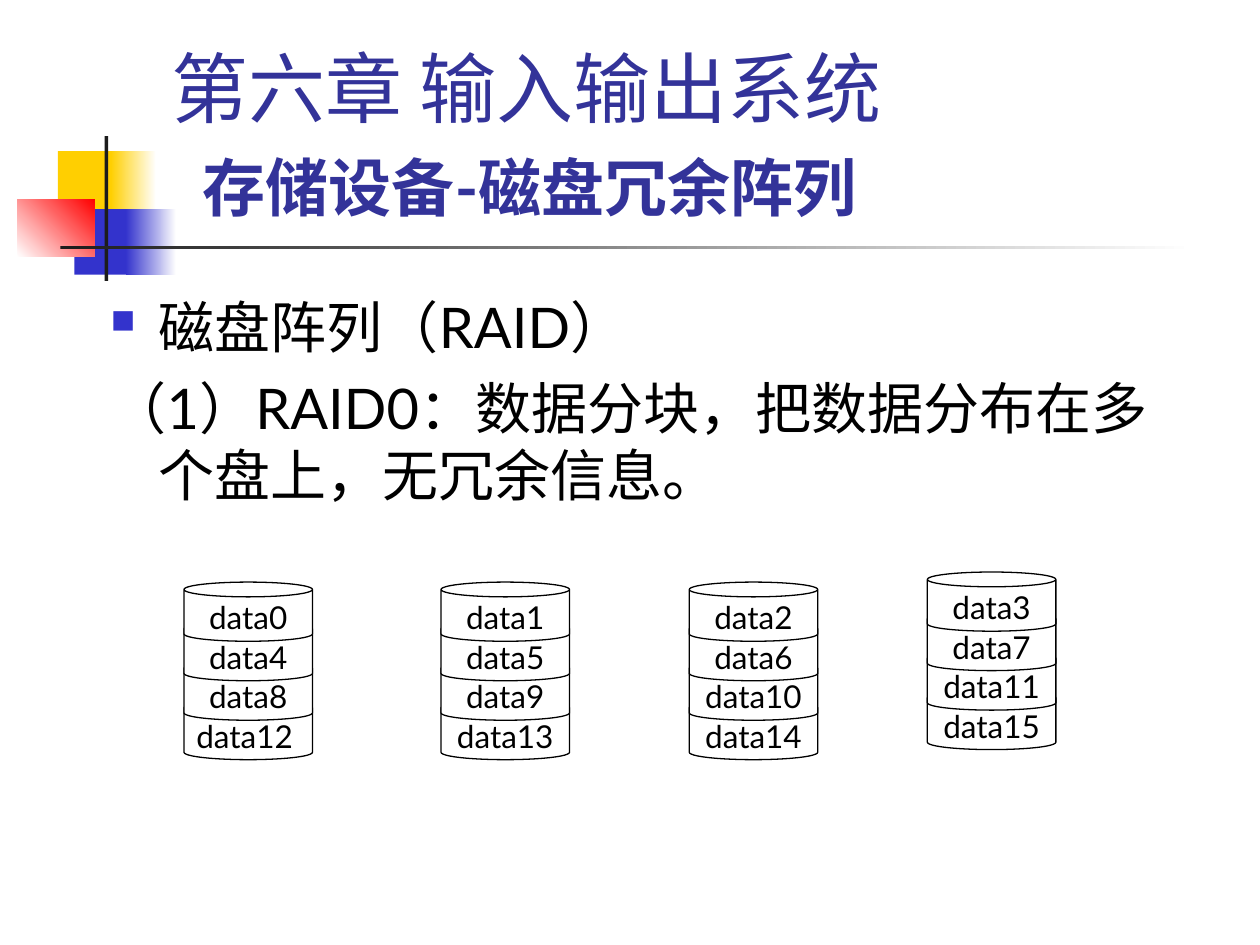
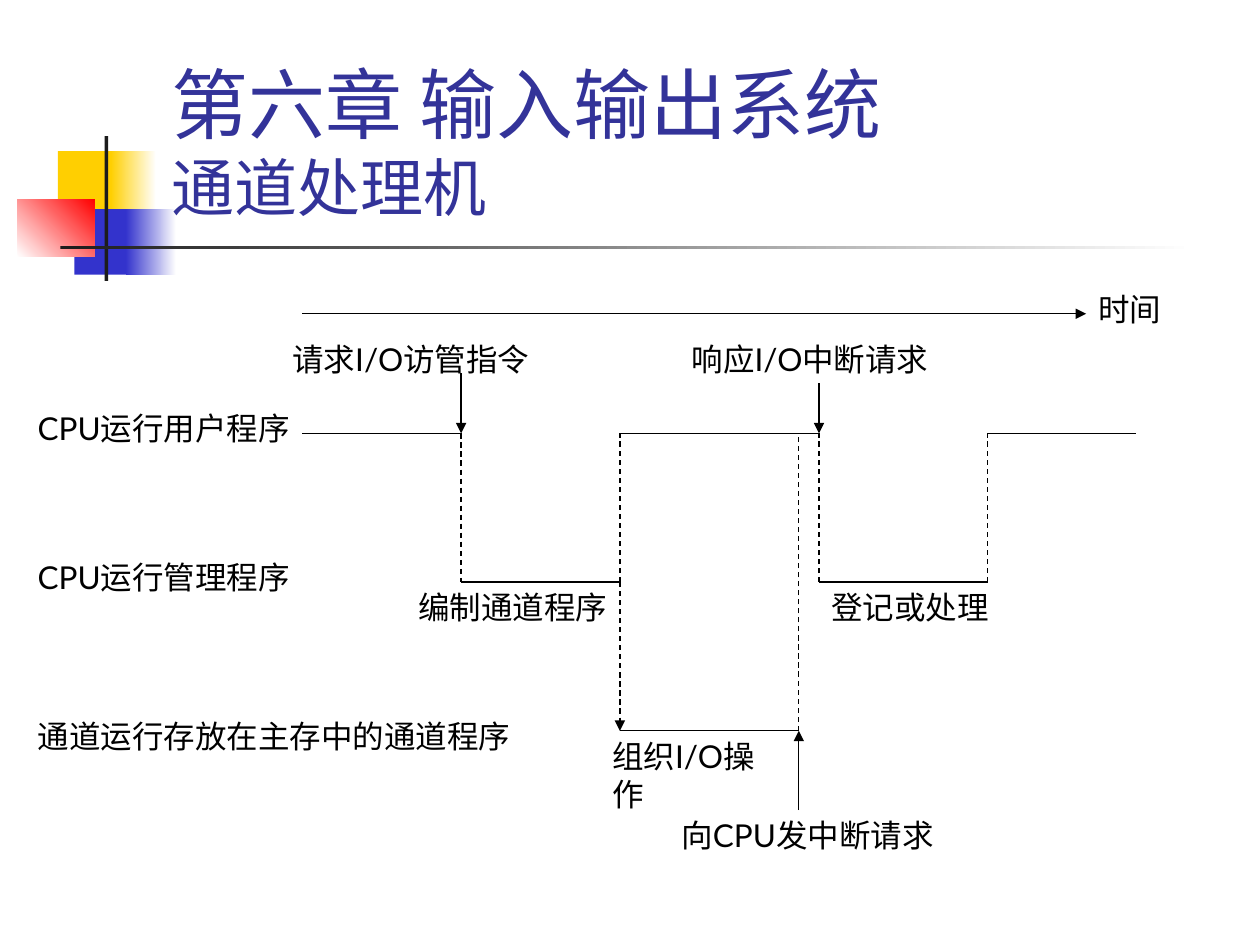
import pptx
import pptx.dml.color
import pptx.enum.dml
import pptx.enum.shapes
import pptx.enum.text
import pptx.oxml
import pptx.oxml.ns
import pptx.util
from pptx.util import Inches

COLORS = {
    "black": "000000", "white": "FFFFFF", "title": "333399", "ink": "1C1C1C",
    "yellow": "FFCF01", "blue": "3333CC", "red": "FF0000",
}
FONT = "Lato"
CHAPTER = "第六章 输入输出系统"
ALIGN = pptx.enum.text.PP_ALIGN
ANCHOR = pptx.enum.text.MSO_ANCHOR
SHAPE = pptx.enum.shapes.MSO_SHAPE

# Left, top, width, height, colour or (from, to, angle)
BAND = [
    (0.46, 1.2, 0.48, 0.52, "yellow"),
    (0.88, 1.2, 0.36, 0.52, ("yellow", "white", 0)),
    (0.59, 1.66, 0.46, 0.52, "blue"),
    (1, 1.66, 0.4, 0.52, ("blue", "white", 0)),
    (0.14, 1.58, 0.61, 0.46, ("white", "red", 45)),
    (0.83, 1.08, 0.03, 1.15, "ink"),
    (0.48, 1.95, 9, 0.03, ("ink", "white", 0)),
]


def rgb(name):
    return pptx.dml.color.RGBColor.from_string(COLORS[name])


def apply(target, values):
    for name, value in values.items():
        setattr(target, name, value)


class Deck:
    def __init__(self):
        self.presentation = pptx.Presentation()
        apply(self.presentation, {"slide_width": Inches(10), "slide_height": Inches(7.5)})
        self.layout = self.presentation.slide_layouts[5]
        self.slide = None

    def add_slide(self, subtitle, subtitle_format=None, indent=0, space=0):
        """Start a slide with the chapter title and its subtitle."""
        self.slide = self.presentation.slides.add_slide(self.layout)
        title = self.slide.shapes.title
        apply(title, {"left": Inches(1.26), "top": Inches(0.23),
                      "width": Inches(8.52), "height": Inches(1.6)})
        self.frame(title.text_frame, ANCHOR.BOTTOM)
        self.add_text(title.text_frame.paragraphs[0], CHAPTER, 44, "title")
        paragraph = title.text_frame.add_paragraph()
        paragraph.space_before = pptx.util.Pt(space)
        self.indent(paragraph, indent, 0)
        self.add_text(paragraph, subtitle, 36, "title", **(subtitle_format or {}))

    def add_band(self):
        """Draw the band once and move it to the layout, behind the titles."""
        for index, (left, top, width, height, fill) in enumerate(BAND):
            shape = self.shape(self.slide.shapes, SHAPE.RECTANGLE, left, top, width, height, fill)
            shape.line.fill.background()
            shape.element.xpath(".//p:cNvPr")[0].set("id", str(100 + index))
            self.layout.shapes.element.insert(2 + index, shape.element)

    def frame(self, text_frame, anchor=ANCHOR.TOP):
        apply(text_frame, {
            "word_wrap": True, "auto_size": pptx.enum.text.MSO_AUTO_SIZE.NONE,
            "vertical_anchor": anchor,
            "margin_left": Inches(0.1), "margin_right": Inches(0.1),
            "margin_top": Inches(0.05), "margin_bottom": Inches(0.05),
        })

    def indent(self, paragraph, left, first):
        properties = paragraph._p.get_or_add_pPr()
        properties.set("marL", str(Inches(left)))
        properties.set("indent", str(Inches(first)))
        return properties

    def bullet(self, properties, color, size):
        namespace = pptx.oxml.ns.nsdecls("a")
        for xml in (f'<a:buClr {namespace}><a:srgbClr val="{COLORS[color]}"/></a:buClr>',
                    f'<a:buSzPct {namespace} val="{size * 1000}"/>',
                    f'<a:buChar {namespace} char="■"/>'):
            properties.append(pptx.oxml.parse_xml(xml))

    def add_text(self, paragraph, text, size, color="black", align=ALIGN.LEFT, **font):
        paragraph.alignment = align
        run = paragraph.add_run()
        run.text = text
        apply(run.font, {"name": FONT, "size": pptx.util.Pt(size), **font})
        run.font.color.rgb = rgb(color)

    def text_box(self, left, top, width, height):
        box = self.slide.shapes.add_textbox(Inches(left), Inches(top), Inches(width), Inches(height))
        self.frame(box.text_frame)
        return box.text_frame

    def label(self, text, left, top, width, height=0.4, align=ALIGN.LEFT):
        text_frame = self.text_box(left, top, width, height)
        self.add_text(text_frame.paragraphs[0], text, 18, align=align)

    def body(self, items, left, top, width, height):
        """Add hanging paragraphs given as (text, has bullet)."""
        text_frame = self.text_box(left, top, width, height)
        for index, (text, has_bullet) in enumerate(items):
            paragraph = text_frame.add_paragraph() if index else text_frame.paragraphs[0]
            if index:
                paragraph.space_before = pptx.util.Pt(8)
            properties = self.indent(paragraph, 0.38, -0.38)
            if has_bullet:
                self.bullet(properties, "blue", 60)
            self.add_text(paragraph, text, 32)

    def shape(self, shapes, kind, left, top, width, height, fill):
        shape = shapes.add_shape(kind, Inches(left), Inches(top), Inches(width), Inches(height))
        shape.shadow.inherit = False
        if isinstance(fill, tuple):
            *stops, angle = fill
            shape.fill.gradient()
            shape.fill.gradient_angle = angle
            for stop, color in zip(shape.fill.gradient_stops, stops):
                stop.color.rgb = rgb(color)
        else:
            shape.fill.solid()
            shape.fill.fore_color.rgb = rgb(fill)
        return shape

    def disk(self, left, top, width, pitch, count):
        """Stack cylinders from the bottom up as one group."""
        group = self.slide.shapes.add_group_shape()
        for row in reversed(range(count)):
            can = self.shape(group.shapes, SHAPE.CAN, left, top + row * pitch, width, 0.47, "white")
            can.line.color.rgb = rgb("black")
            can.line.width = pptx.util.Pt(0.75)

    def line(self, start, end, dashed=False, arrow=False):
        connector = self.slide.shapes.add_connector(
            pptx.enum.shapes.MSO_CONNECTOR.STRAIGHT, *map(Inches, start + end))
        connector.line.color.rgb = rgb("black")
        connector.line.width = pptx.util.Pt(0.75)
        if dashed:
            connector.line.dash_style = pptx.enum.dml.MSO_LINE.DASH
        namespace = pptx.oxml.ns.nsdecls("a")
        if arrow:
            connector.line._get_or_add_ln().append(
                pptx.oxml.parse_xml(f'<a:tailEnd {namespace} type="triangle"/>'))
        connector.element.spPr.append(pptx.oxml.parse_xml(f"<a:effectLst {namespace}/>"))


def add_raid_slide(deck):
    deck.add_slide("存储设备-磁盘冗余阵列", {"bold": True}, indent=0.25, space=9)
    deck.add_band()
    deck.body([("磁盘阵列（RAID）", True),
               ("（1）RAID0：数据分块，把数据分布在多个盘上，无冗余信息。", False)],
              0.78, 2.27, 8.5, 1.86)

    # Striped disks: block numbers run across the disks, row by row
    disks = [(1.46, 4.62), (3.5, 4.62), (5.47, 4.62), (7.36, 4.54)]
    width, pitch, rows = 1.02, 0.94 / 3, 4
    for column, (left, top) in enumerate(disks):
        deck.disk(left, top, width, pitch, rows)
        for row in range(rows):
            block = row * len(disks) + column
            align = ALIGN.LEFT if block == 12 else ALIGN.CENTER
            deck.label(f"data{block}", left, top + 0.08 + row * pitch, width, align=align)


def add_channel_slide(deck):
    deck.add_slide("通道处理机")

    # Levels of the timing diagram and moments along the time axis
    user, supervisor, channel = 3.44, 4.62, 5.8
    begin, request, launch, finish, respond, resume, end = 2.4, 3.66, 4.92, 6.34, 6.5, 7.84, 9.02

    # Running periods
    for level, start, stop in [
        (user, begin, request), (supervisor, request, launch), (user, launch, respond),
        (channel, launch, finish), (supervisor, respond, resume), (user, resume, end),
    ]:
        deck.line((start, level), (stop, level))

    # Switches between levels
    for moment, start, stop in [
        (request, user, supervisor), (launch, supervisor, user), (finish, channel, user),
        (respond, supervisor, user), (resume, supervisor, user),
    ]:
        deck.line((moment, start), (moment, stop), dashed=True)
    deck.line((launch, supervisor), (launch, channel), dashed=True, arrow=True)

    # Time axis and event arrows
    deck.line((begin, 2.49), (8.62, 2.49), arrow=True)
    for moment, start, stop in [(request, 2.96, user), (respond, 3.04, user),
                                (finish, 6.43, channel)]:
        deck.line((moment, start), (moment, stop), arrow=True)

    # Labels
    deck.label("时间", 8.62, 2.25, 1.1)
    deck.label("CPU运行用户程序", 0.2, 3.2, 2.21, 0.7)
    deck.label("CPU运行管理程序", 0.2, 4.38, 2.21, 0.7)
    deck.label("通道运行存放在主存中的通道程序", 0.2, 5.64, 4.1)
    deck.label("请求I/O访管指令", 2.16, 2.65, 2.2, align=ALIGN.CENTER)
    deck.label("响应I/O中断请求", 5.39, 2.65, 2.13, 0.7)
    deck.label("编制通道程序", 2.95, supervisor, 1.97, align=ALIGN.RIGHT)
    deck.label("登记或处理", respond, supervisor, 1.57)
    deck.label("组织I/O操作", 4.76, channel, 1.57, 0.7)
    deck.label("向CPU发中断请求", 5.31, 6.43, 2.36)


def main():
    deck = Deck()
    add_raid_slide(deck)
    add_channel_slide(deck)
    deck.presentation.save("out.pptx")


if __name__ == "__main__":
    main()
